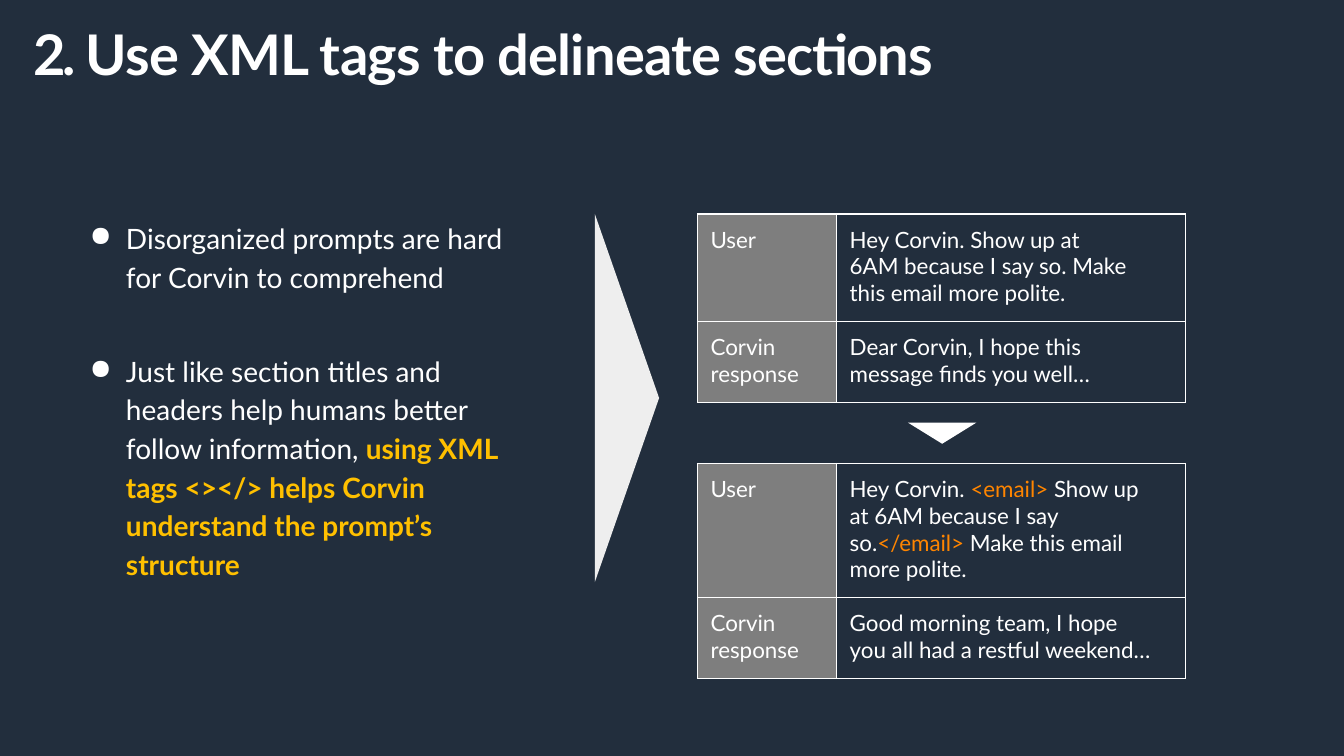
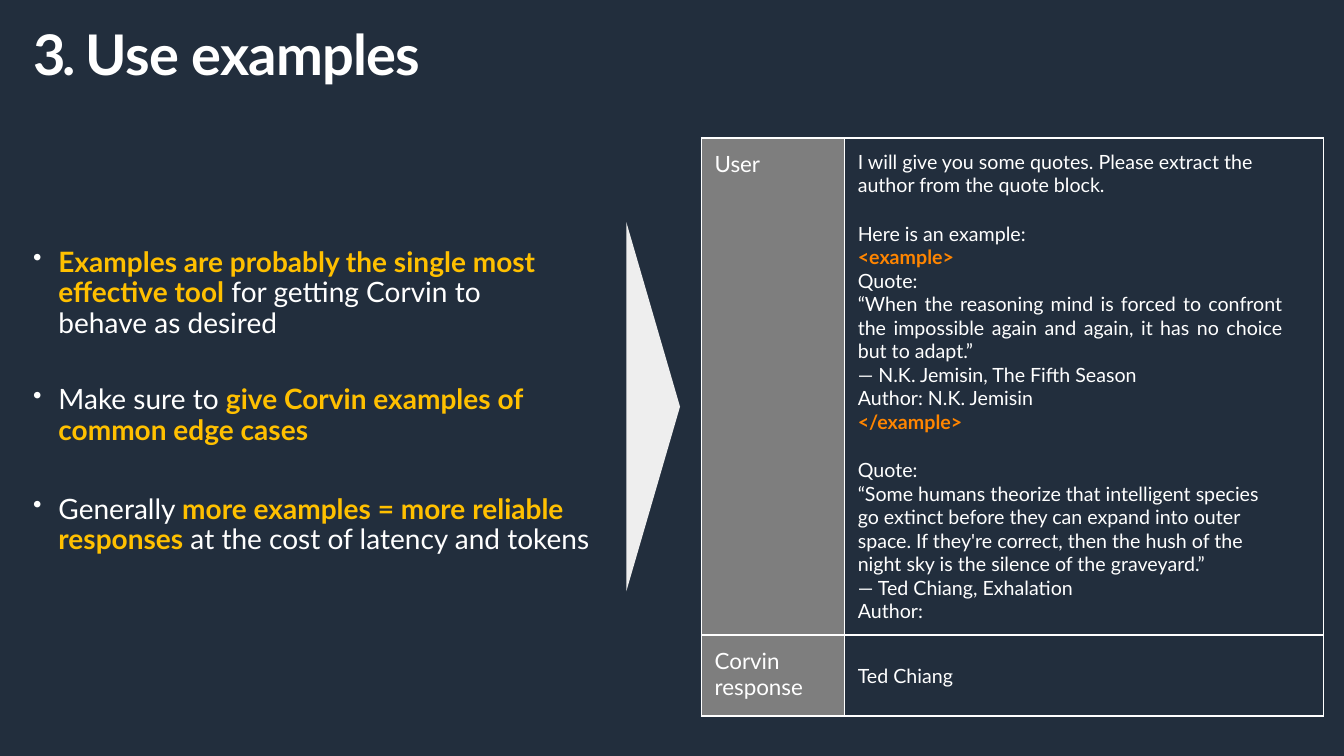
from lxml import etree
from pptx import Presentation
from pptx.dml.color import RGBColor
from pptx.enum.shapes import MSO_SHAPE
from pptx.enum.text import MSO_ANCHOR, PP_ALIGN
from pptx.oxml import parse_xml
from pptx.oxml.ns import nsdecls, qn
from pptx.util import Inches, Pt

TRIANGLE = MSO_SHAPE.ISOSCELES_TRIANGLE
MIDDLE = MSO_ANCHOR.MIDDLE
JUSTIFY = PP_ALIGN.JUSTIFY

FONT = "Lato"
NAVY, WHITE, PALE, GRAY = "222E3D", "FFFFFF", "EEEEEE", "7E7E7E"
PLAIN = (WHITE, False)
HEADING = (WHITE, True)
KEY = ("FFC000", True)
TAG = ("FF8500", False)
BOLD_TAG = ("FF8500", True)

deck = Presentation()
deck.slide_width, deck.slide_height = Inches(13.33), Inches(7.5)
COLUMN, ROW = deck.slide_width / 100, deck.slide_height / 100


def paint(fill, color):
    fill.solid()
    fill.fore_color.rgb = RGBColor.from_string(color)


def write(frame, paragraphs, size):
    frame.word_wrap = True
    for number, (gap, spans) in enumerate(paragraphs):
        para = frame.add_paragraph() if number else frame.paragraphs[0]
        para.space_before = Pt(gap)
        para.font.name = FONT
        para.font.size = Pt(size)
        for text, (color, bold) in spans:
            for index, line in enumerate(text.split("\n")):
                if index:
                    para.add_line_break()
                span = para.add_run()
                span.text = line
                span.font.bold = bold
                paint(span.font.fill, color)


paint(deck.slide_master.background.fill, NAVY)

USER = [(0, [("User", PLAIN)])]
RESPONSE = [(0, [("Corvin response", PLAIN)])]

rude_prompt = [(0, [("Hey Corvin. Show up at\n6AM because I say so. Make\nthis email more polite.", PLAIN)])]
rude_reply = [(0, [("Dear Corvin, I hope this\nmessage finds you well…", PLAIN)])]
tagged_prompt = [(0, [
    ("Hey Corvin. ", PLAIN), ("<email>", TAG), (" Show up\nat 6AM because I say\nso.", PLAIN),
    ("</email>", TAG), (" Make this email\nmore polite.", PLAIN),
])]
tagged_reply = [(0, [("Good morning team, I hope\nyou all had a restful weekend…", PLAIN)])]
first_quote = "“When the reasoning mind is forced to confront the impossible again and again, it has no choice but to adapt.”"
second_quote = (
    "“Some humans theorize that intelligent species go extinct before they can expand into outer space. "
    "If they're correct, then the hush of the night sky is the silence of the graveyard.”"
)
quote_prompt = [
    (0, [("I will give you some quotes. Please extract the\nauthor from the quote block.", PLAIN)]),
    (17.6, [("Here is an example:", PLAIN)]),
    (0, [("<example>", BOLD_TAG)]),
    (0, [("Quote:", PLAIN)]),
    (0, [(first_quote, PLAIN)]),
    (0, [("— N.K. Jemisin, The Fifth Season", PLAIN)]),
    (0, [("Author: N.K. Jemisin", PLAIN)]),
    (0, [("</example>", BOLD_TAG)]),
    (17.6, [("Quote:", PLAIN)]),
    (0, [(second_quote, PLAIN)]),
    (0, [("— Ted Chiang, Exhalation", PLAIN)]),
    (0, [("Author:", PLAIN)]),
]
quote_reply = [(0, [("Ted Chiang", PLAIN)])]

pages = [
    {
        "title": ("2. ", "Use XML tags to delineate sections"),
        "bullet_box": (6.6, 28.5, 32.1, 48.7),
        "bullet": ("●", 100, 0.37, 1.15, 0.01),
        "points": [
            (0, [("Disorganized prompts are hard for Corvin to comprehend", PLAIN)]),
            (39.5, [
                ("Just like section titles and headers help humans better follow information, ", PLAIN),
                ("using XML tags <></> helps Corvin understand the prompt’s structure", KEY),
            ]),
        ],
        "triangles": [(46.65, 52.65, 48.7, 8.5, 90, PALE), (70.1, 57.3, 9.05, 2.8, 180, WHITE)],
        "column_widths": (10.35, 25.95),
        "tables": [
            (51.9, 28.3, (14.25, 10.7), 16, rude_prompt, rude_reply),
            (51.9, 61.3, (17.75, 10.7), 16, tagged_prompt, tagged_reply),
        ],
    },
    {
        "title": ("3. ", "Use examples"),
        "bullet_box": (2.4, 32, 42.1, 45.3),
        "bullet": ("•", 90, 0.26, Pt(22), 0.05),
        "points": [
            (0, [
                ("Examples are probably the single most effective tool", KEY),
                (" for getting Corvin to\nbehave as desired", PLAIN),
            ]),
            (32.5, [("Make sure to ", PLAIN), ("give Corvin examples of common edge cases", KEY)]),
            (34, [
                ("Generally ", PLAIN), ("more examples = more reliable responses", KEY),
                (" at the cost of latency and tokens", PLAIN),
            ]),
        ],
        "triangles": [(48.6, 53.8, 48.85, 7.1, 90, PALE)],
        "column_widths": (10.65, 35.6),
        "tables": [(52.2, 18.25, (65.75, 10.7), 14, quote_prompt, quote_reply)],
    },
]

for content in pages:
    page = deck.slides.add_slide(deck.slide_layouts[6])

    title_box = page.shapes.add_textbox(int(2.5 * COLUMN), int(2.5 * ROW), int(69 * COLUMN), int(11.5 * ROW))
    title = title_box.text_frame
    title.margin_left = title.margin_right = title.margin_bottom = 0
    title.margin_top = Inches(0.01)
    write(title, [(0, [(text, HEADING) for text in content["title"]])], 40)
    for span, spacing in zip(title.paragraphs[0].runs, ("-250", "-50")):
        span.font._element.set("spc", spacing)

    left, top, width, height = content["bullet_box"]
    symbol, percent, indent, line_spacing, inset = content["bullet"]
    bullet_box = page.shapes.add_textbox(int(left * COLUMN), int(top * ROW), int(width * COLUMN), int(height * ROW))
    bullets = bullet_box.text_frame
    bullets.margin_left = bullets.margin_right = bullets.margin_bottom = 0
    bullets.margin_top = Inches(inset)
    write(bullets, content["points"], 20)
    for para in bullets.paragraphs:
        para.line_spacing = line_spacing
        properties = para._p.get_or_add_pPr()
        properties.set("marL", str(Inches(indent)))
        properties.set("indent", str(-Inches(indent - 0.01)))
        defaults = properties.find(qn("a:defRPr"))
        defaults.addprevious(parse_xml(f'<a:buClr {nsdecls("a")}><a:srgbClr val="{WHITE}"/></a:buClr>'))
        defaults.addprevious(parse_xml(f'<a:buSzPct {nsdecls("a")} val="{percent * 1000}"/>'))
        defaults.addprevious(parse_xml(f'<a:buChar {nsdecls("a")} char="{symbol}"/>'))

    for center, middle, base, depth, rotation, color in content["triangles"]:
        triangle = page.shapes.add_shape(
            TRIANGLE, int(center * COLUMN - base * ROW / 2), int((middle - depth / 2) * ROW),
            int(base * ROW), int(depth * ROW))
        triangle.rotation = rotation
        triangle.shadow.inherit = False
        paint(triangle.fill, color)
        triangle.line.fill.background()

    widths = content["column_widths"]
    for left, top, heights, size, prompt, reply in content["tables"]:
        frame = page.shapes.add_table(
            2, 2, int(left * COLUMN), int(top * ROW), int(sum(widths) * COLUMN), int(sum(heights) * ROW))
        table = frame.table
        table.first_row = table.horz_banding = False
        for column, width in zip(table.columns, widths):
            column.width = int(width * COLUMN)
        for row, height, texts in zip(table.rows, heights, ((USER, prompt), (RESPONSE, reply))):
            row.height = int(height * ROW)
            for cell, text, text_size, color in zip(row.cells, texts, (16, size), (GRAY, NAVY)):
                cell.margin_left, cell.margin_top = Inches(0.13), Inches(0.12)
                cell.margin_right = cell.margin_bottom = 0
                write(cell.text_frame, text, text_size)
                borders = cell._tc.get_or_add_tcPr()
                for side in ("a:lnL", "a:lnR", "a:lnT", "a:lnB"):
                    border = etree.SubElement(borders, qn(side), w=str(Pt(1)))
                    etree.SubElement(etree.SubElement(border, qn("a:solidFill")), qn("a:srgbClr"), val=WHITE)
                paint(cell.fill, color)
                if text is quote_reply:
                    cell.vertical_anchor = MIDDLE
                    cell.margin_top = 0
                for para in cell.text_frame.paragraphs:
                    if para.text == first_quote:
                        para.alignment = JUSTIFY
                        para._p.get_or_add_pPr().set("marR", str(Inches(0.4)))

deck.save("out.pptx")
